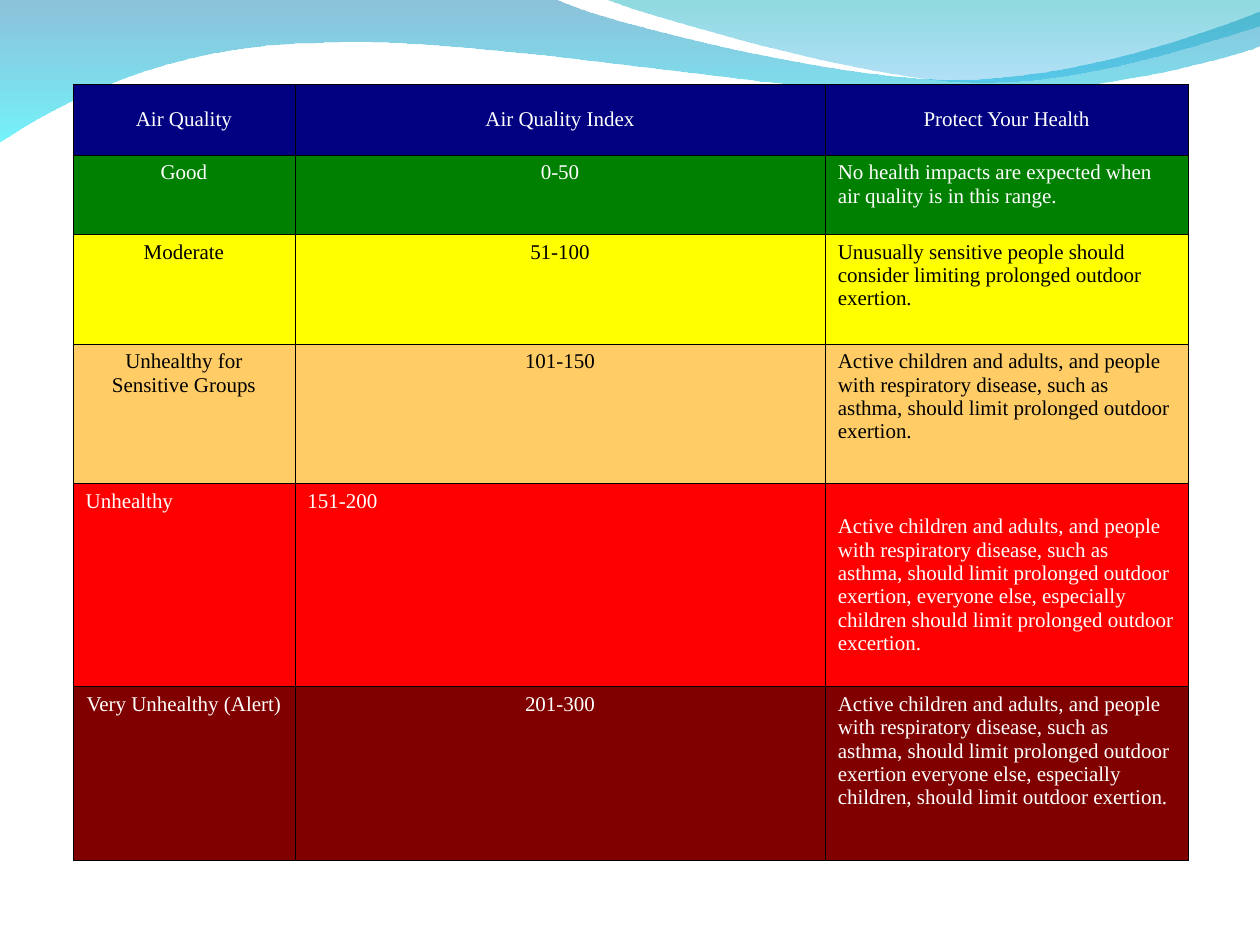
from dataclasses import dataclass

from lxml.etree import SubElement
from pptx import Presentation
from pptx.dml.color import RGBColor as RGB
from pptx.enum.text import MSO_ANCHOR as ANCHOR, PP_ALIGN as ALIGN
from pptx.oxml.ns import qn
from pptx.util import Inches, Pt


@dataclass(frozen=True)
class Theme:
    font: str = "Times New Roman"
    size: int = 12
    border: str = "000000"
    border_width: float = 0.34
    light: str = "FFFFFF"
    dark: str = "000000"
    header: str = "000080"
    good: str = "008000"
    moderate: str = "FFFF00"
    sensitive: str = "FFCC66"
    unhealthy: str = "FF0000"
    alert: str = "800000"
    back_wave: tuple = (("0079AF", 45), ("00EBF8", 55))
    front_wave: tuple = (("00ADB6", 45), ("009BE5", 30))


class Deck:
    def __init__(self, prs, theme):
        self.theme = theme
        self.slide = prs.slides.add_slide(prs.slide_layouts[6])

    def wave(self, start, segments, stops):
        points = [(Inches(x), Inches(y)) for seg in segments
                  for x, y in zip(seg[::2], seg[1::2])]
        builder = self.slide.shapes.build_freeform(
            Inches(start[0]), Inches(start[1]), scale=1.0)
        builder.add_line_segments(points, close=True)
        sp = builder.convert_to_shape()
        self.bend(sp, segments)
        sp.shadow.inherit = False
        sp.line.fill.background()
        sp.fill.gradient()
        sp.fill.gradient_angle = 270
        for stop, (color, _) in zip(sp.fill.gradient_stops, stops):
            stop.color.rgb = RGB.from_string(color)
        for clr, (_, alpha) in zip(sp.element.iter(qn("a:srgbClr")), stops):
            SubElement(clr, qn("a:alpha"), val=str(alpha * 1000))

    def bend(self, sp, segments):
        lines = iter(list(sp.element.iter(qn("a:lnTo"))))
        for seg in segments:
            group = [next(lines) for _ in seg[::2]]
            if len(group) == 3:
                curve = group[0]
                for line in group[1:]:
                    curve.append(line[0])
                    line.getparent().remove(line)
                curve.tag = qn("a:cubicBezTo")

    def table(self, left, top, widths, heights, rows):
        frame = self.slide.shapes.add_table(
            len(rows), len(widths), Inches(left), Inches(top),
            Inches(sum(widths)), Inches(sum(heights)))
        table = frame.table
        table.first_row = table.horz_banding = False
        for col, width in zip(table.columns, widths):
            col.width = Inches(width)
        for row, height, (fill, color, aligns, anchors, texts) in zip(
                table.rows, heights, rows):
            row.height = Inches(height)
            for cell, text, align, anchor in zip(row.cells, texts, aligns, anchors):
                self.cell(cell, text, fill, color, align, anchor)

    def cell(self, cell, text, fill, color, align, anchor):
        self.borders(cell)
        cell.fill.solid()
        cell.fill.fore_color.rgb = RGB.from_string(fill)
        cell.vertical_anchor = anchor
        cell.text_frame.text = text
        p = cell.text_frame.paragraphs[0]
        p.alignment = align
        font = p.runs[0].font
        font.name = self.theme.font
        font.size = Pt(self.theme.size)
        font.color.rgb = RGB.from_string(color)

    def borders(self, cell):
        props = cell._tc.get_or_add_tcPr()
        for side in ("lnL", "lnR", "lnT", "lnB"):
            ln = SubElement(props, qn(f"a:{side}"),
                            w=str(Pt(self.theme.border_width)))
            solid = SubElement(ln, qn("a:solidFill"))
            SubElement(solid, qn("a:srgbClr"), val=self.theme.border)


def main():
    prs = Presentation()
    prs.slide_width, prs.slide_height = Inches(10), Inches(7.5)
    theme = Theme()
    deck = Deck(prs, theme)

    deck.wave((0, -0.01),
              [(4.4, -0.01),
               (4.76, 0.17, 6.64, 0.63, 7.58, 0.63),
               (8.53, 0.63, 9.58, 0.26, 10, 0.09),
               (10.01, 0.36),
               (9.83, 0.44, 8.7, 0.76, 7.46, 0.75),
               (6.22, 0.75, 3.82, 0.28, 2.57, 0.34),
               (1.29, 0.35, 0.46, 0.83, -0.01, 1.13)], theme.back_wave)
    deck.wave((4.79, -0.01),
              [(5.09, 0.11, 6.82, 0.62, 7.69, 0.65),
               (8.56, 0.69, 9.61, 0.32, 10, 0.21),
               (10, 0)], theme.front_wave)

    centered = [ALIGN.CENTER] * 3
    labels = [ALIGN.CENTER, ALIGN.CENTER, ALIGN.LEFT]
    lefts = [ALIGN.LEFT] * 3
    middle = [ANCHOR.MIDDLE] * 3
    tops = [ANCHOR.TOP] * 3
    advice_middle = [ANCHOR.TOP, ANCHOR.TOP, ANCHOR.MIDDLE]
    active = ("Active children and adults, and people with respiratory disease, "
              "such as asthma, should limit prolonged outdoor exertion")
    rows = [
        (theme.header, theme.light, centered, middle,
         ("Air Quality", "Air Quality Index", "Protect Your Health")),
        (theme.good, theme.light, labels, tops,
         ("Good", "0-50",
          "No health impacts are expected when air quality is in this range.")),
        (theme.moderate, theme.dark, labels, tops,
         ("Moderate", "51-100",
          "Unusually sensitive people should consider limiting prolonged "
          "outdoor exertion.")),
        (theme.sensitive, theme.dark, labels, tops,
         ("Unhealthy for Sensitive Groups", "101-150", f"{active}.")),
        (theme.unhealthy, theme.light, lefts, advice_middle,
         ("Unhealthy", "151-200",
          f"{active}, everyone else, especially children should limit "
          "prolonged outdoor excertion.")),
        (theme.alert, theme.light, labels, tops,
         ("Very Unhealthy (Alert)", "201-300",
          f"{active} everyone else, especially children, should limit "
          "outdoor exertion.")),
    ]
    deck.table(0.58, 0.67, [1.76, 4.21, 2.88],
               [0.56, 0.63, 0.87, 1.11, 1.61, 1.38], rows)
    prs.save("out.pptx")


if __name__ == "__main__":
    main()
